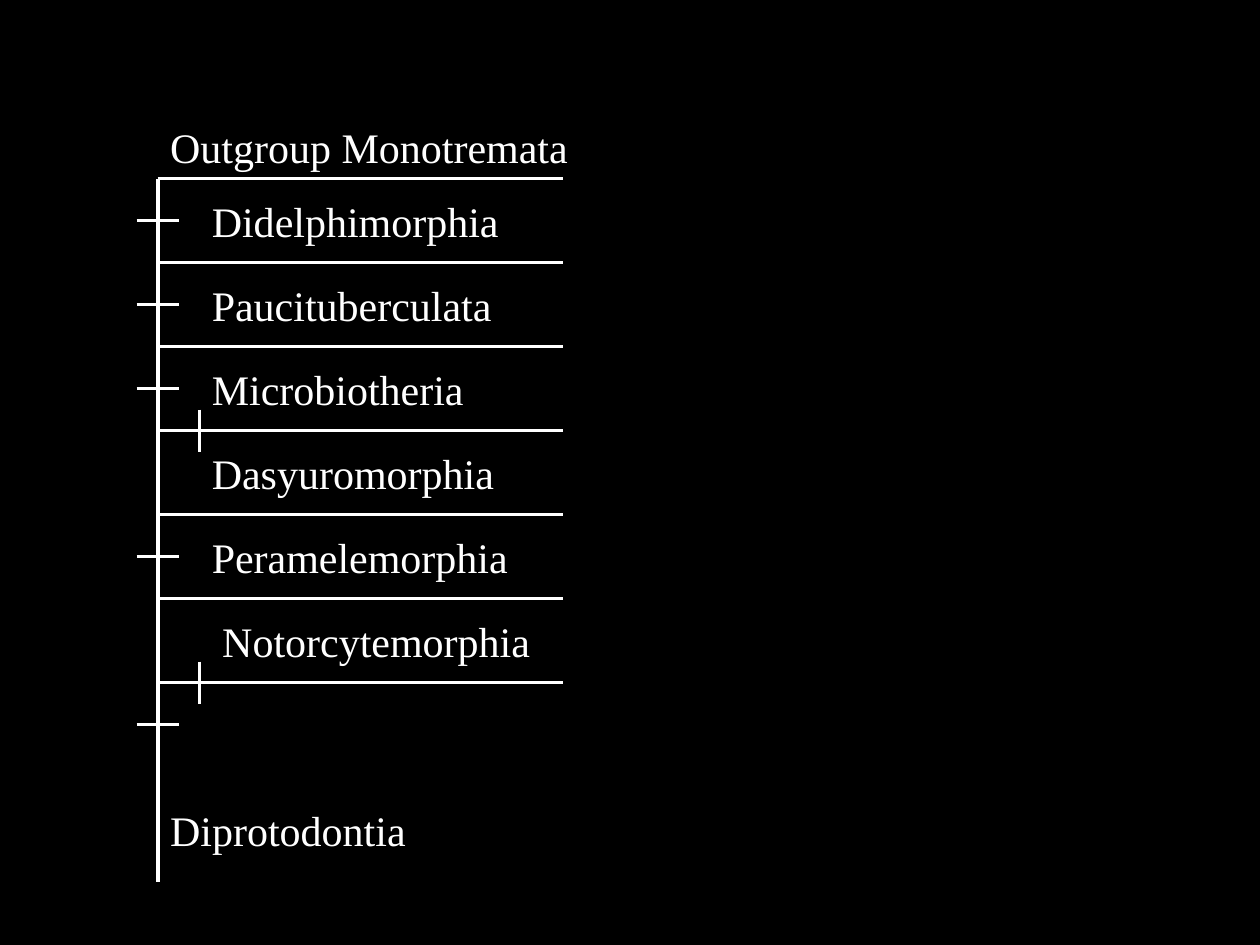
from dataclasses import dataclass

from lxml import etree
from pptx import Presentation
from pptx.dml.color import RGBColor
from pptx.enum.shapes import MSO_CONNECTOR
from pptx.enum.text import MSO_AUTO_SIZE
from pptx.oxml.ns import qn
from pptx.util import Cm, Pt

STRAIGHT = MSO_CONNECTOR.STRAIGHT
GROW = MSO_AUTO_SIZE.SHAPE_TO_FIT_TEXT
WHITE = "FFFFFF"
BLACK = "000000"
FONT = "Times New Roman"

# Tree layout in centimetres
STEM = 3.18
TOP = 3.6
FOOT = 17.78
TIP = 11.35
STEP = 5.08 / 3
HALF = STEP / 4
FORK = 4.02


@dataclass
class Label:
    """A taxon name and its place."""
    name: str
    left: float
    top: float
    width: float = 8.89


@dataclass
class Line:
    """A straight line between two points."""
    x1: float
    y1: float
    x2: float
    y2: float


def color(code: str) -> RGBColor:
    """Turn a hex string into a colour."""
    return RGBColor.from_string(code)


def draw_line(slide, line: Line) -> None:
    """Draw one white line without a shadow."""
    shape = slide.shapes.add_connector(
        STRAIGHT, Cm(line.x1), Cm(line.y1), Cm(line.x2), Cm(line.y2))
    shape.line.color.rgb = color(WHITE)
    shape.line.width = Pt(2)
    etree.SubElement(shape._element.spPr, qn("a:effectLst"))


def draw_label(slide, label: Label) -> None:
    """Write one taxon name with half a line of space before it."""
    box = slide.shapes.add_textbox(
        Cm(label.left), Cm(label.top), Cm(label.width), Cm(1.27))
    frame = box.text_frame
    frame.text = label.name
    frame.word_wrap = True
    frame.auto_size = GROW
    para = frame.paragraphs[0]
    space = etree.SubElement(para._p.get_or_add_pPr(), qn("a:spcBef"))
    etree.SubElement(space, qn("a:spcPct")).set("val", "50000")
    font = para.runs[0].font
    font.name = FONT
    font.size = Pt(24)
    font.color.rgb = color(WHITE)


def level(row: float) -> float:
    """Give the height of a branch, counted from the top."""
    return TOP + row * STEP


def main() -> None:
    """Build the tree and save it."""
    deck = Presentation()
    deck.slide_width, deck.slide_height = Cm(25.4), Cm(19.05)
    slide = deck.slides.add_slide(deck.slide_layouts[6])
    fill = slide.background.fill
    fill.solid()
    fill.fore_color.rgb = color(BLACK)

    stem = Line(STEM, TOP, STEM, FOOT)
    rows = [Line(STEM, level(row), TIP, level(row)) for row in range(7)]
    ticks = [Line(STEM - HALF, level(row), STEM + HALF, level(row))
             for row in (0.5, 1.5, 2.5, 4.5, 6.5)]
    bars = [Line(FORK, level(row) - HALF, FORK, level(row) + HALF)
            for row in (3, 6)]
    for line in [stem, *rows, *ticks, *bars]:
        draw_line(slide, line)

    names = ["Didelphimorphia", "Paucituberculata", "Microbiotheria",
             "Dasyuromorphia", "Peramelemorphia"]
    labels = [Label(name, FORK, level(row) + 0.21)
              for row, name in enumerate(names)]
    labels += [
        Label("Outgroup Monotremata", STEM, 2.33),
        Label("Notorcytemorphia", 4.23, level(5) + 0.21),
        Label("Diprotodontia", STEM, 16.09, 5.93),
    ]
    for label in labels:
        draw_label(slide, label)
    deck.save("out.pptx")


main()
